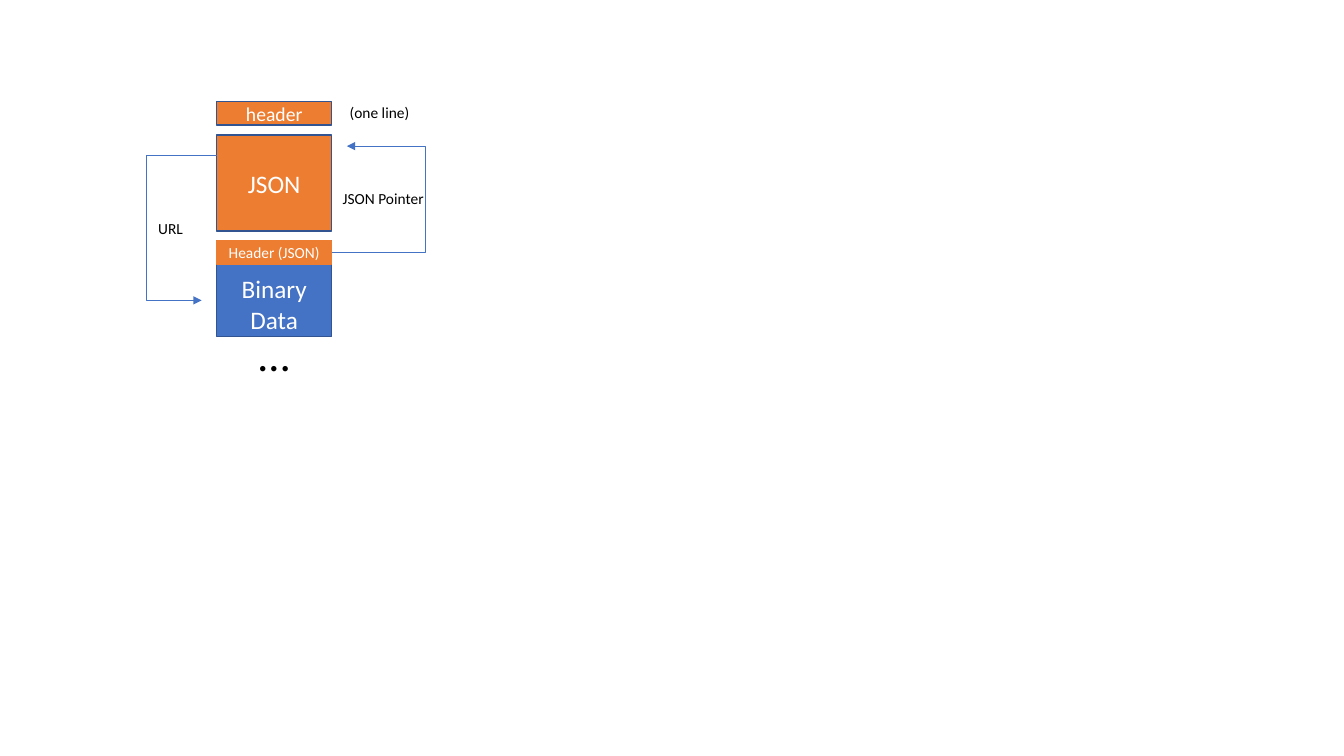
from lxml.etree import SubElement
from pptx import Presentation
from pptx.dml.color import RGBColor
from pptx.enum.shapes import MSO_CONNECTOR, MSO_SHAPE
from pptx.enum.text import MSO_ANCHOR, PP_ALIGN
from pptx.oxml.ns import qn
from pptx.util import Inches, Pt

ORANGE, BLUE, OUTLINE = "ED7D31", "4472C4", "325491"
WHITE, BLACK = "FFFFFF", "000000"


def color(hex_value):
    return RGBColor.from_string(hex_value)


def write(shape, lines, size, hex_value, alignment):
    frame = shape.text_frame
    frame.text = "\n".join(lines)
    for paragraph in frame.paragraphs:
        paragraph.alignment = alignment
        paragraph.font.name = "Calibri"
        paragraph.font.size = Pt(size)
        paragraph.font.color.rgb = color(hex_value)
    return frame


def add_block(slide, left, top, width, height, lines, size, fill, line=OUTLINE):
    shape = slide.shapes.add_shape(
        MSO_SHAPE.RECTANGLE, Inches(left), Inches(top), Inches(width), Inches(height))
    shape.shadow.inherit = False
    shape.fill.solid()
    shape.fill.fore_color.rgb = color(fill)
    shape.line.color.rgb = color(line)
    shape.line.width = Pt(1)
    frame = write(shape, lines, size, WHITE, PP_ALIGN.CENTER)
    frame.vertical_anchor = MSO_ANCHOR.MIDDLE
    return frame


def add_label(slide, left, top, width, height, text, size=11,
              alignment=PP_ALIGN.LEFT, wrap=False):
    box = slide.shapes.add_textbox(
        Inches(left), Inches(top), Inches(width), Inches(height))
    write(box, [text], size, BLACK, alignment).word_wrap = wrap


def add_elbow_arrow(slide, start, end, bend_x):
    """Run sideways to bend_x, then up or down, then back to the end."""
    connector = slide.shapes.add_connector(
        MSO_CONNECTOR.ELBOW, *(Inches(value) for value in (*start, *end)))
    connector.line.color.rgb = color(BLUE)
    connector.line.width = Pt(0.5)
    properties = connector._element.spPr
    SubElement(properties.find(qn("a:ln")), qn("a:tailEnd"), type="triangle")
    SubElement(properties, qn("a:effectLst"))
    # The bend is measured in 1/100000 of the horizontal span
    bend = round((bend_x - start[0]) / (end[0] - start[0]) * 100000)
    guides = properties.find(qn("a:prstGeom")).get_or_add_avLst()
    SubElement(guides, qn("a:gd"), name="adj1", fmla=f"val {bend}")


def add_file_blocks(slide, left, top, width):
    """Stack the parts of the file from the top down."""
    header_height, body_height, gap = 0.23, 0.95, 0.1
    json_top = top + header_height + gap
    binary_top = json_top + body_height + gap
    add_block(slide, left, top, width, header_height, ["header"], 14, ORANGE)
    add_block(slide, left, json_top, width, body_height, ["JSON"], 18, ORANGE)
    binary = add_block(slide, left, binary_top, width, body_height,
                       ["Binary", "Data"], 18, BLUE)
    binary.margin_top = Inches(0.35)  # keeps the text below the chunk header
    add_block(slide, left, binary_top, width, header_height,
              ["Header (JSON)"], 11, ORANGE, ORANGE)
    add_label(slide, left, top + 2.18, width, 0.64, "…", 32, PP_ALIGN.CENTER, True)


def add_references(slide, left, top, width):
    """Annotate the stack that occupies the given box."""
    right = left + width
    add_label(slide, right + 0.08, top - 0.04, 0.8, 0.29, "(one line)")
    # Binary header points back into the JSON
    add_elbow_arrow(slide, (right, top + 1.49), (right + 0.15, top + 0.44), right + 0.93)
    add_label(slide, right + 0.01, top + 0.82, 1.02, 0.29, "JSON Pointer")
    # JSON points to the binary data
    add_elbow_arrow(slide, (left, top + 0.53), (left - 0.15, top + 1.97), left - 0.7)
    add_label(slide, left - 0.68, top + 1.11, 0.45, 0.29, "URL")


presentation = Presentation()
presentation.slide_width, presentation.slide_height = Inches(13.33), Inches(7.5)
slide = presentation.slides.add_slide(presentation.slide_layouts[6])
stack = (2.15, 1.01, 1.14)
add_file_blocks(slide, *stack)
add_references(slide, *stack)
presentation.save("out.pptx")
